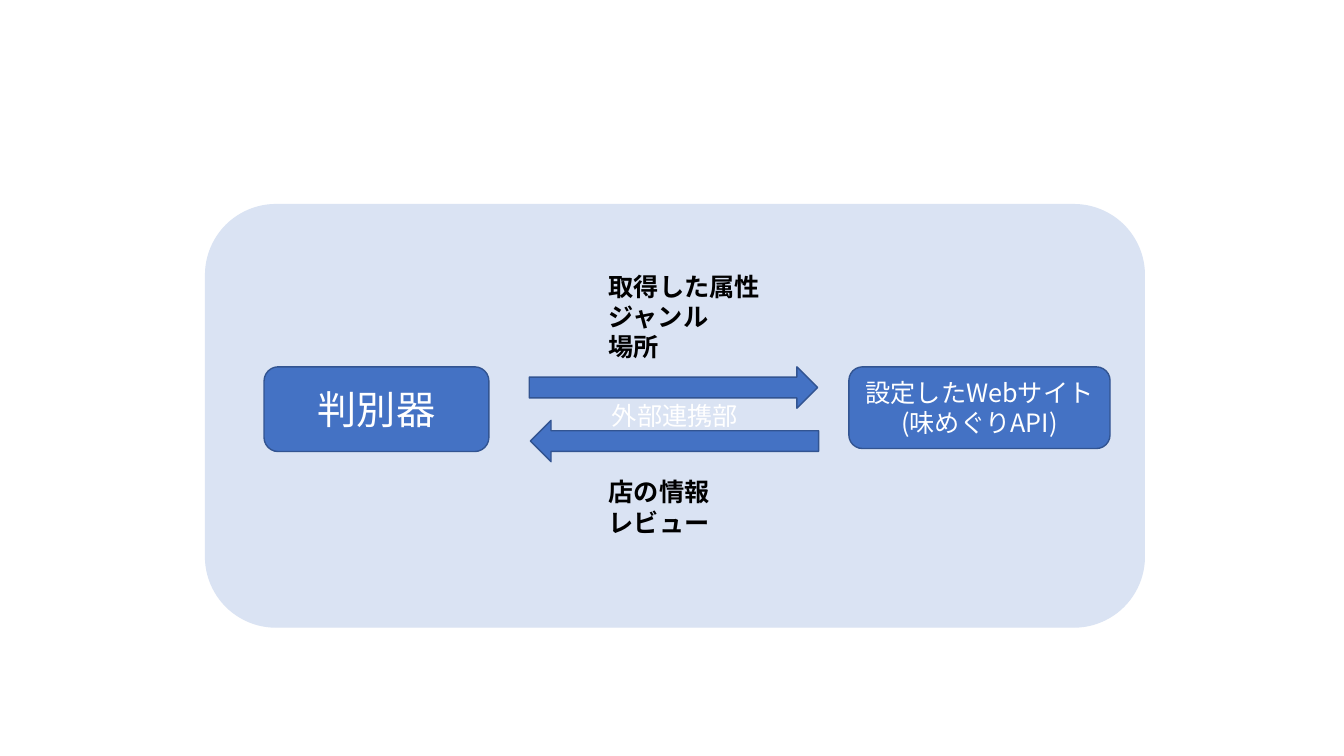
from lxml.etree import SubElement
from pptx import Presentation
from pptx.dml.color import RGBColor
from pptx.enum.lang import MSO_LANGUAGE_ID as LANG
from pptx.enum.shapes import MSO_SHAPE as SHAPE
from pptx.enum.text import MSO_ANCHOR, MSO_AUTO_SIZE, PP_ALIGN
from pptx.oxml.ns import qn
from pptx.util import Inches, Pt

HUES = {"panel": "DAE3F3", "box": "4472C4", "edge": "325491",
        "light": "FFFFFF", "dark": "000000"}
FONT = "Noto Sans CJK JP"


def hue(name):
    return RGBColor.from_string(HUES[name])


def write(frame, text, size=18, color="light", bold=False,
          align=PP_ALIGN.CENTER):
    for i, line in enumerate(text.split("\n")):
        para = frame.paragraphs[0] if i == 0 else frame.add_paragraph()
        para.alignment = align
        run = para.add_run()
        run.text = line
        font = run.font
        font.size, font.bold, font.name = Pt(size), bold, FONT
        font.language_id = LANG.JAPANESE
        font.color.rgb = hue(color)
        SubElement(run._r.get_or_add_rPr(), qn("a:ea"), typeface=FONT)


class Board:
    def __init__(self, deck):
        self.wide, self.high = deck.slide_width, deck.slide_height
        self.slide = deck.slides.add_slide(deck.slide_layouts[6])

    def place(self, x, y, w, h):
        return [round(share * full / 100) for share, full in
                zip((x, y, w, h), (self.wide, self.high) * 2)]

    def shape(self, kind, area, fill="box", edge="edge"):
        item = self.slide.shapes.add_shape(kind, *self.place(*area))
        item.shadow.inherit = False
        item.fill.solid()
        item.fill.fore_color.rgb = hue(fill)
        item.line.color.rgb = hue(edge)
        item.line.width = Pt(1)
        return item

    def box(self, text, area, size=18, **look):
        frame = self.shape(SHAPE.ROUNDED_RECTANGLE, area, **look).text_frame
        frame.word_wrap = True
        frame.vertical_anchor = MSO_ANCHOR.MIDDLE
        write(frame, text, size=size)

    def arrow(self, area, turn=0):
        self.shape(SHAPE.RIGHT_ARROW, area).rotation = turn

    def label(self, text, area):
        frame = self.slide.shapes.add_textbox(*self.place(*area)).text_frame
        frame.word_wrap = False
        frame.auto_size = MSO_AUTO_SIZE.SHAPE_TO_FIT_TEXT
        write(frame, text, color="dark", bold=True, align=PP_ALIGN.LEFT)


deck = Presentation()
deck.slide_width, deck.slide_height = Inches(13.33), Inches(7.5)
board = Board(deck)
ROW = 48.53
LEFT = 44.56

board.box("外部連携部", (15.3, 27.07, 69.84, 55.87), fill="panel", edge="panel")
board.box("設定したWebサイト(味めぐりAPI)", (63.16, ROW, 19.43, 10.8))
board.box("判別器", (19.65, ROW, 16.73, 11.2), size=28)
board.arrow((39.38, ROW, 21.45, 5.47))
board.label("取得した属性\nジャンル\n場所", (LEFT, 35.2, 12.9, 13.47))
board.arrow((39.46, 55.6, 21.45, 5.47), turn=180)
board.label("店の情報\nレビュー", (LEFT, 62.4, 9.08, 9.47))

deck.save("out.pptx")
